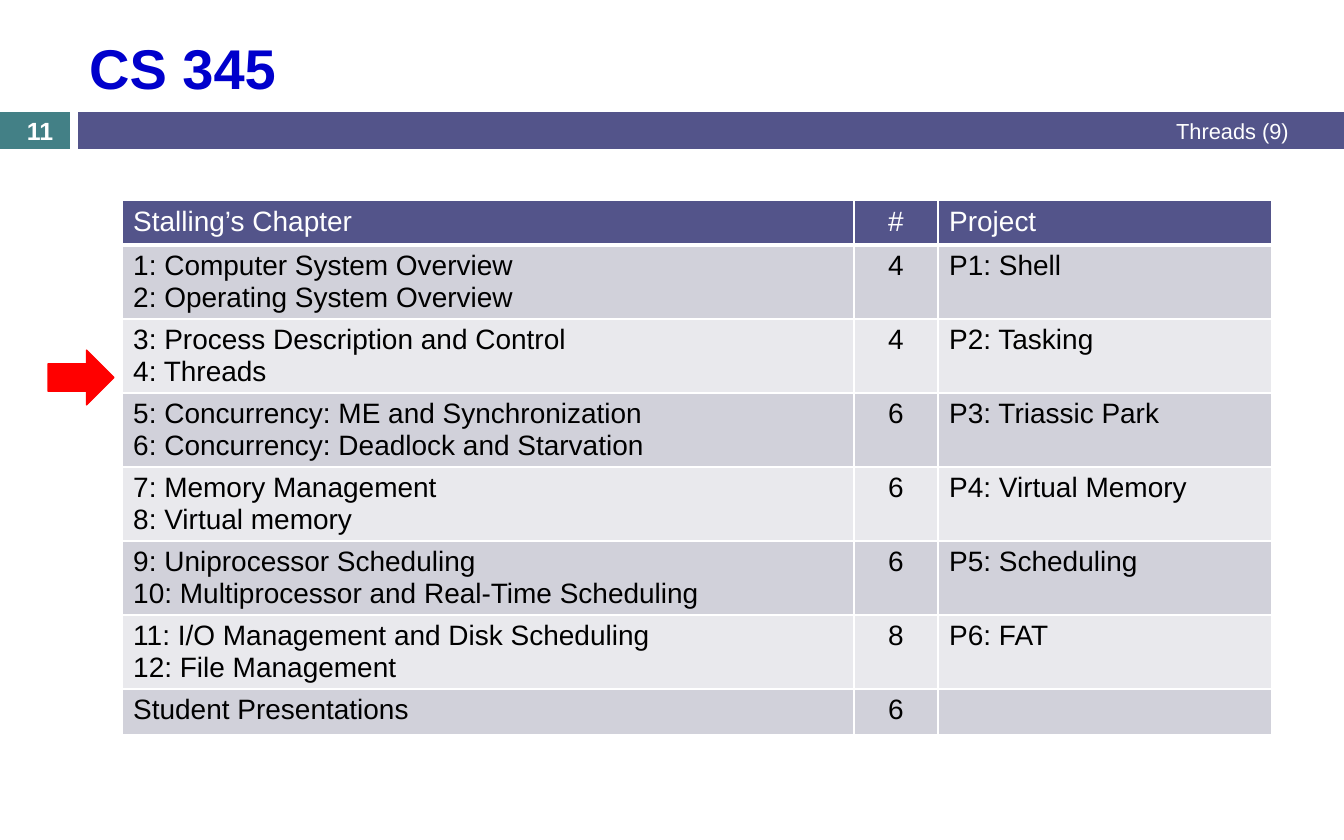
import pptx
import pptx.dml.color
import pptx.enum.shapes
import pptx.enum.text
import pptx.oxml
import pptx.oxml.ns
import pptx.util

PX = 914400 / 112
FONT = "Arial"
COLORS = {
    "title": "0000CC",
    "page": "438086",
    "bar": "53548A",
    "odd": "D1D1DA",
    "even": "E9E9ED",
    "marker": "FF0000",
    "white": "FFFFFF",
    "black": "000000",
}
ALIGN = pptx.enum.text.PP_ALIGN
SHAPE = pptx.enum.shapes.MSO_SHAPE

COLUMN_WIDTHS = [732, 84, 334]
COLUMN_ALIGNS = [ALIGN.LEFT, ALIGN.CENTER, ALIGN.LEFT]
ONE_LINE, TWO_LINES = 45, 74
SCHEDULE = [
    (["Stalling’s Chapter"], "#", "Project"),
    (["1: Computer System Overview", "2: Operating System Overview"], "4", "P1: Shell"),
    (["3: Process Description and Control", "4: Threads"], "4", "P2: Tasking"),
    (["5: Concurrency: ME and Synchronization",
      "6: Concurrency: Deadlock and Starvation"], "6", "P3: Triassic Park"),
    (["7: Memory Management", "8: Virtual memory"], "6", "P4: Virtual Memory"),
    (["9: Uniprocessor Scheduling",
      "10: Multiprocessor and Real-Time Scheduling"], "6", "P5: Scheduling"),
    (["11: I/O Management and Disk Scheduling", "12: File Management"], "8", "P6: FAT"),
    (["Student Presentations"], "6", ""),
]


def px(length):
    return pptx.util.Emu(round(length * PX))


def rgb(name):
    return pptx.dml.color.RGBColor.from_string(COLORS[name])


def write(frame, lines, size, color, align=ALIGN.LEFT, bold=False):
    for index, line in enumerate(lines):
        paragraph = frame.paragraphs[0] if index == 0 else frame.add_paragraph()
        paragraph.alignment = align
        if not line:
            continue
        run = paragraph.add_run()
        run.text = line
        run.font.name = FONT
        run.font.size = pptx.util.Pt(size)
        run.font.bold = bold
        run.font.color.rgb = rgb(color)


def add_block(slide, kind, box, color, outlined=False):
    block = slide.shapes.add_shape(kind, *map(px, box))
    block.shadow.inherit = False
    block.fill.solid()
    block.fill.fore_color.rgb = rgb(color)
    if outlined:
        block.line.color.rgb = rgb(color)
        block.line.width = pptx.util.Pt(0.75)
    else:
        block.line.fill.background()


def add_label(slide, box, text, size, align, bold=False):
    frame = slide.shapes.add_textbox(*map(px, box)).text_frame
    frame.word_wrap = True
    frame.vertical_anchor = pptx.enum.text.MSO_ANCHOR.MIDDLE
    write(frame, [text], size, "white", align, bold)


def set_title(slide, box, text):
    title = slide.shapes.title
    title.left, title.top, title.width, title.height = map(px, box)
    title.text_frame.vertical_anchor = pptx.enum.text.MSO_ANCHOR.MIDDLE
    write(title.text_frame, [text], 36, "title", bold=True)


def add_borders(cell, bottom):
    properties = cell._tc.get_or_add_tcPr()
    for side, points in (("L", 1), ("R", 1), ("T", 1), ("B", bottom)):
        properties.append(pptx.oxml.parse_xml(
            f'<a:ln{side} {pptx.oxml.ns.nsdecls("a")} w="{pptx.util.Pt(points)}">'
            f'<a:solidFill><a:srgbClr val="{COLORS["white"]}"/></a:solidFill>'
            f'</a:ln{side}>'))


def add_schedule(slide, left, top):
    heights = [ONE_LINE if len(chapters) == 1 else TWO_LINES
               for chapters, _, _ in SCHEDULE]
    schedule = slide.shapes.add_table(
        len(SCHEDULE), len(COLUMN_WIDTHS), px(left), px(top),
        px(sum(COLUMN_WIDTHS)), px(sum(heights))).table
    for column, width in zip(schedule.columns, COLUMN_WIDTHS):
        column.width = px(width)
    for number, (chapters, sessions, project) in enumerate(SCHEDULE):
        schedule.rows[number].height = px(heights[number])
        header = number == 0
        fill = "bar" if header else "odd" if number % 2 else "even"
        contents = (chapters, [sessions], [project])
        for column, (lines, align) in enumerate(zip(contents, COLUMN_ALIGNS)):
            cell = schedule.cell(number, column)
            add_borders(cell, bottom=3 if header else 1)
            cell.fill.solid()
            cell.fill.fore_color.rgb = rgb(fill)
            write(cell.text_frame, lines, 18, "white" if header else "black", align)


def main():
    deck = pptx.Presentation()
    deck.slide_width, deck.slide_height = px(1344), px(840)
    slide = deck.slides.add_slide(deck.slide_layouts[5])

    # Header band
    add_block(slide, SHAPE.RECTANGLE, (0, 112, 70, 37), "page")
    add_block(slide, SHAPE.RECTANGLE, (78, 112, 1266, 37), "bar")

    # Course schedule and marker for the current chapter
    add_schedule(slide, 122, 200)
    add_block(slide, SHAPE.RIGHT_ARROW, (48, 350, 66, 55), "marker", outlined=True)

    # Title, topic and page number
    add_label(slide, (504, 111, 796, 40), "Threads (9)", 14, ALIGN.RIGHT)
    add_label(slide, (0, 114, 80, 34), "11", 16, ALIGN.CENTER, bold=True)
    set_title(slide, (78, 22, 1222, 90), "CS 345")

    deck.save("out.pptx")


if __name__ == "__main__":
    main()
